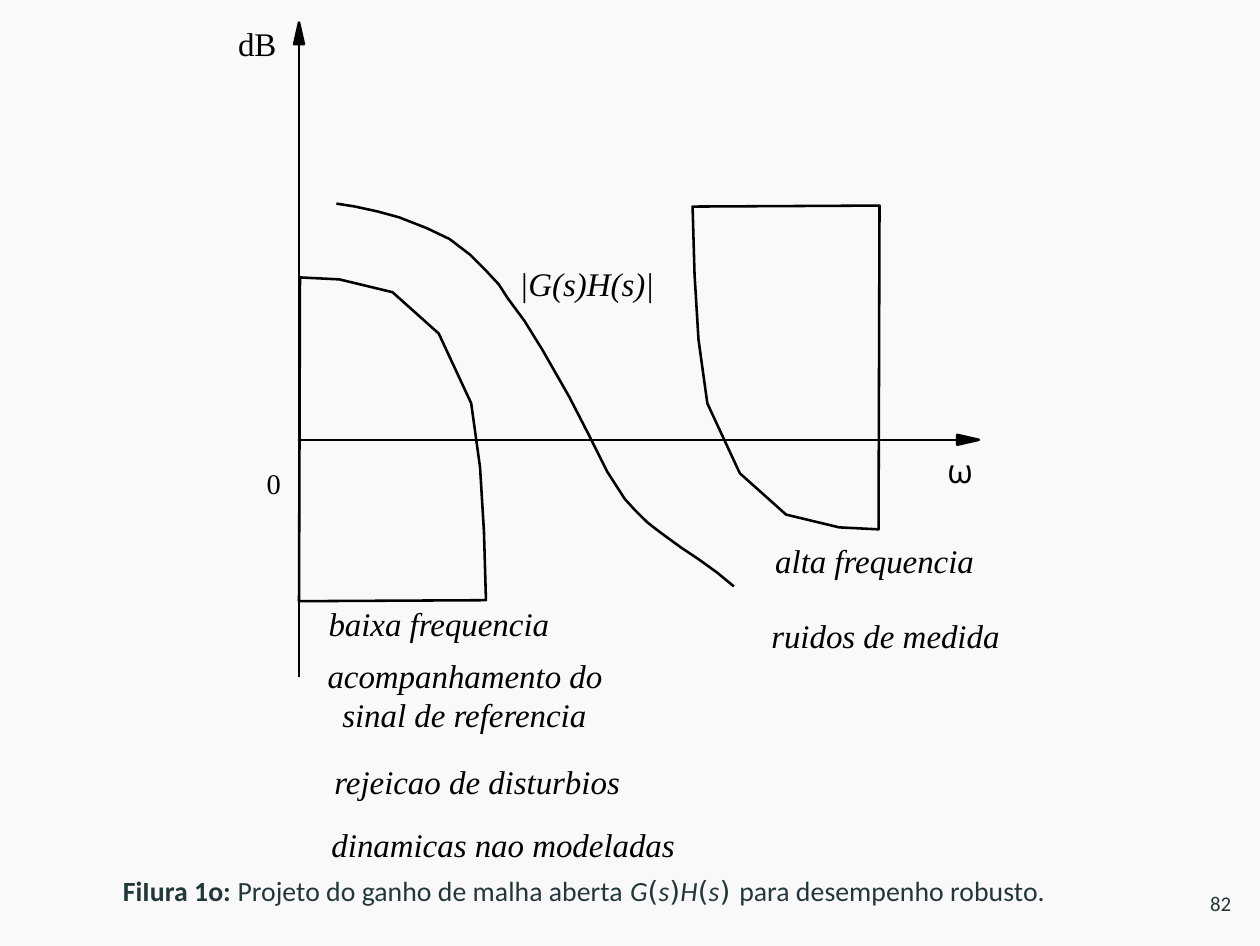
from dataclasses import dataclass

from lxml.etree import SubElement
from pptx import Presentation
from pptx.dml.color import RGBColor
from pptx.enum.shapes import MSO_CONNECTOR
from pptx.oxml.ns import qn
from pptx.util import Cm, Pt


@dataclass(frozen=True)
class Theme:
    paper: RGBColor = RGBColor(0xF9, 0xF9, 0xF9)
    ink: RGBColor = RGBColor(0, 0, 0)
    caption_ink: RGBColor = RGBColor(0x22, 0x37, 0x3A)
    plot_font: str = "Times New Roman"
    symbol_font: str = "Open Sans"
    caption_font: str = "Calibri"
    bracket_font: str = "DejaVu Sans"
    label_size: Pt = Pt(9.5)
    zero_size: Pt = Pt(8.2)
    caption_size: Pt = Pt(8)
    page_size: Pt = Pt(6)
    axis_width: Pt = Pt(0.4)
    curve_width: Pt = Pt(0.75)


THEME = Theme()

# The page is a whole number of half points; all other lengths are in cm.
PAGE_WIDTH, PAGE_HEIGHT = Pt(363), Pt(272.5)

ORIGIN_X, AXIS_Y = 3.04, 4.47
DB_TOP, DB_BOTTOM, OMEGA_END = 0.23, 6.88, 9.95
HEAD_LENGTH, HEAD_HALF = 0.22, 0.05

LOW_FREQUENCY = [
    (3.05, 2.82), (3.45, 2.84), (3.99, 2.97), (4.46, 3.39), (4.79, 4.10),
    (4.88, 4.75), (4.92, 5.41), (4.94, 6.10), (3.04, 6.11),
]
# The high-frequency region is the low one turned by half a turn.
HIGH_FREQUENCY = [(11.98 - x, 8.2 - y) for x, y in LOW_FREQUENCY]

OPEN_LOOP_GAIN = [
    (3.42, 2.07), (3.61, 2.10), (3.84, 2.15), (4.06, 2.21), (4.34, 2.32),
    (4.57, 2.43), (4.78, 2.59), (4.93, 2.74), (5.07, 2.89), (5.16, 3.03),
    (5.33, 3.26), (5.51, 3.55), (5.59, 3.69), (5.79, 4.04), (5.97, 4.39),
    (6.09, 4.63), (6.17, 4.79), (6.35, 5.07), (6.45, 5.18), (6.58, 5.31),
    (6.71, 5.41), (6.93, 5.57), (7.11, 5.69), (7.29, 5.82), (7.46, 5.96),
]

# Text, left, top, width
REGION_LABELS = [
    ("alta frequencia", 7.88, 5.45, 2.2),
    ("|G(s)H(s)|", 5.28, 2.64, 1.5),
    ("ruidos de medida", 7.84, 6.22, 2.5),
    ("baixa frequencia", 3.34, 6.09, 2.4),
]


def add_outline(slide, points, closed=True, filled=False):
    (start_x, start_y), *rest = [(Cm(x), Cm(y)) for x, y in points]
    builder = slide.shapes.build_freeform(start_x, start_y)
    builder.add_line_segments(rest, close=closed)
    outline = builder.convert_to_shape()
    outline.shadow.inherit = False
    outline.line.color.rgb = THEME.ink
    outline.line.width = THEME.curve_width
    if filled:
        outline.fill.solid()
        outline.fill.fore_color.rgb = THEME.ink
    else:
        outline.fill.background()


def add_axis(slide, start, end, head):
    """Draw a thin axis line that ends in a narrow filled head."""
    axis = slide.shapes.add_connector(
        MSO_CONNECTOR.STRAIGHT, *(Cm(value) for value in (*start, *end)))
    axis.line.color.rgb = THEME.ink
    axis.line.width = THEME.axis_width
    SubElement(axis._element.spPr, qn("a:effectLst"))
    add_outline(slide, head, filled=True)


def add_text_frame(slide, left, top, width, height=0.48):
    box = slide.shapes.add_textbox(Cm(left), Cm(top), Cm(width), Cm(height))
    frame = box.text_frame
    frame.word_wrap = True
    frame.margin_left = frame.margin_right = frame.margin_bottom = 0
    frame.margin_top = Cm(0.04)
    return frame


def style_run(run, size, font=THEME.plot_font, color=THEME.ink,
              italic=False, bold=False):
    run.font.size = size
    run.font.name = font
    run.font.color.rgb = color
    run.font.italic = italic
    run.font.bold = bold


def add_label(slide, text, left, top, width, size=THEME.label_size, **style):
    frame = add_text_frame(slide, left, top, width)
    frame.text = text
    style_run(frame.paragraphs[0].runs[0], size, **style)


def indent(paragraph, margin, first_line):
    properties = paragraph._p.get_or_add_pPr()
    properties.set("marL", str(Cm(margin)))
    properties.set("indent", str(Cm(first_line)))


def add_low_frequency_goals(slide):
    frame = add_text_frame(slide, 3.3, 6.62, 3.75, 1.96)
    tracking = frame.paragraphs[0]
    tracking.text = "acompanhamento do\vsinal de referencia"
    indent(tracking, 0.18, -0.15)
    rejection = frame.add_paragraph()
    rejection.text = "rejeicao de disturbios\vdinamicas nao modeladas"
    indent(rejection, 0.07, 0.03)
    rejection.line_spacing = 1.59
    rejection.space_before = Pt(1.1)
    for goal in (tracking, rejection):
        for run in goal.runs:
            style_run(run, THEME.label_size, italic=True)


def add_caption(slide):
    paragraph = add_text_frame(slide, 1.25, 8.84, 10.4, 0.41).paragraphs[0]

    def add_part(text, **style):
        run = paragraph.add_run()
        run.text = text
        style_run(run, THEME.caption_size, color=THEME.caption_ink,
                  **{"font": THEME.caption_font, **style})

    add_part("FiIura 1o: ", bold=True)
    add_part("Projeto do ganho de malha aberta ")
    for function, closing in (("G", ")"), ("H", ") ")):
        add_part(function, italic=True)
        add_part("(", font=THEME.bracket_font)
        add_part("s", italic=True)
        add_part(closing, font=THEME.bracket_font)
    add_part("para desempenho robusto.")


def main():
    presentation = Presentation()
    presentation.slide_width = PAGE_WIDTH
    presentation.slide_height = PAGE_HEIGHT
    slide = presentation.slides.add_slide(presentation.slide_layouts[6])
    slide.background.fill.solid()
    slide.background.fill.fore_color.rgb = THEME.paper

    head_base = DB_TOP + HEAD_LENGTH
    add_axis(slide, (ORIGIN_X, DB_BOTTOM), (ORIGIN_X, DB_TOP),
             [(ORIGIN_X, DB_TOP), (ORIGIN_X - HEAD_HALF, head_base),
              (ORIGIN_X + HEAD_HALF, head_base)])
    add_outline(slide, LOW_FREQUENCY)
    add_outline(slide, HIGH_FREQUENCY)
    add_outline(slide, OPEN_LOOP_GAIN, closed=False)
    head_base = OMEGA_END - HEAD_LENGTH
    add_axis(slide, (ORIGIN_X, AXIS_Y), (OMEGA_END, AXIS_Y),
             [(OMEGA_END, AXIS_Y), (head_base, AXIS_Y - HEAD_HALF),
              (head_base, AXIS_Y + HEAD_HALF)])

    add_label(slide, "dB", 2.42, 0.2, 0.6)
    add_label(slide, "0", 2.71, 4.7, 0.3, THEME.zero_size)
    add_label(slide, "ω", 9.63, 4.54, 0.4, font=THEME.symbol_font)
    for text, left, top, width in REGION_LABELS:
        add_label(slide, text, left, top, width, italic=True)
    add_low_frequency_goals(slide)
    add_caption(slide)
    add_label(slide, "82", 12.3, 9.01, 0.4, THEME.page_size,
              font=THEME.caption_font, color=THEME.caption_ink)
    presentation.save("out.pptx")


if __name__ == "__main__":
    main()
